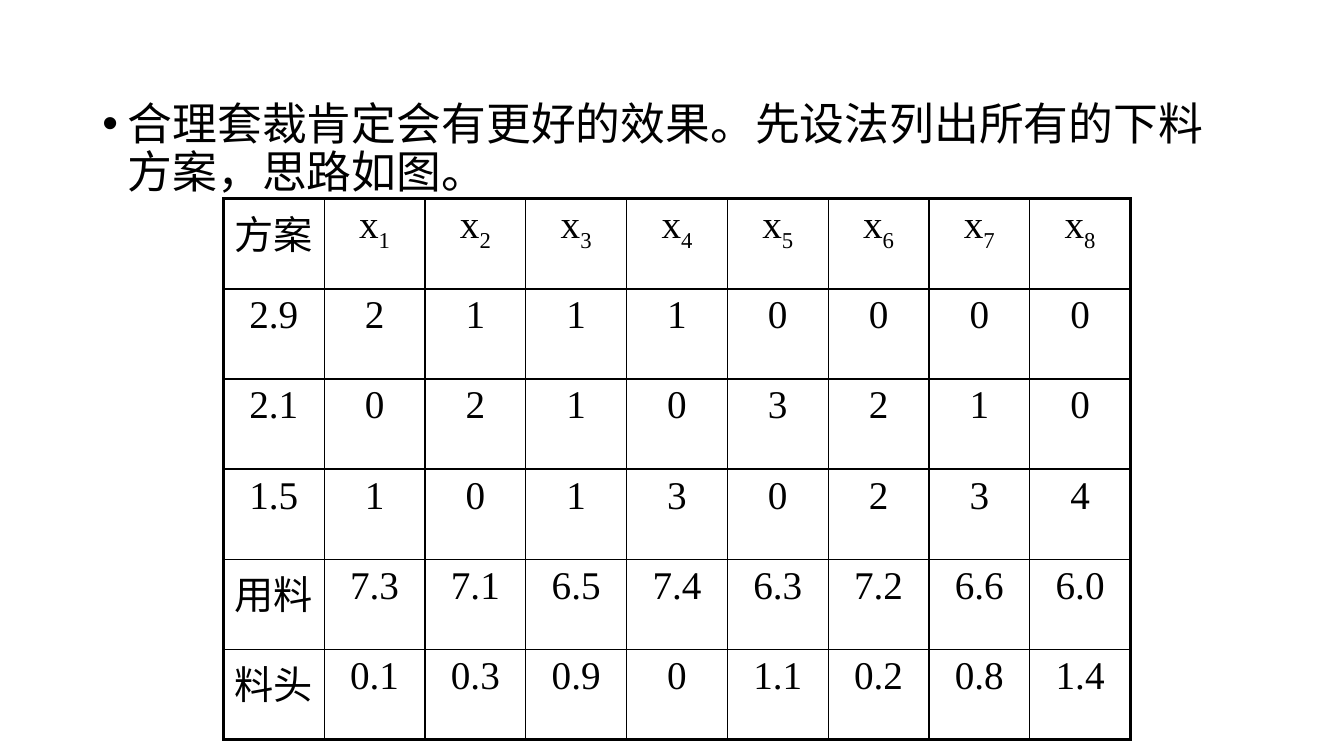
from lxml.etree import SubElement
from pptx import Presentation
from pptx.dml.color import RGBColor
from pptx.enum.lang import MSO_LANGUAGE_ID as Lang
from pptx.enum.text import PP_ALIGN as Align
from pptx.oxml.ns import qn
from pptx.util import Cm, Pt

COLORS = {"ink": "000000"}
SANS = "Noto Sans CJK JP"
SERIF = "Times New Roman"


def add_run(paragraph, text, size, latin):
    run = paragraph.add_run()
    run.text = text
    run.font.size = Pt(size)
    run.font.name = latin
    run.font.color.rgb = RGBColor.from_string(COLORS["ink"])
    run.font.language_id = Lang.SIMPLIFIED_CHINESE
    SubElement(run._r.get_or_add_rPr(), qn("a:ea"), typeface=SANS)
    return run


def add_border(cell, side, points):
    line = SubElement(cell._tc.get_or_add_tcPr(), qn("a:ln" + side), w=str(Pt(points)))
    fill = SubElement(line, qn("a:solidFill"))
    SubElement(fill, qn("a:srgbClr"), val=COLORS["ink"])


prs = Presentation()
prs.slide_width = Cm(33.87)
prs.slide_height = Cm(19.05)
slide = prs.slides.add_slide(prs.slide_layouts[6])

intro = slide.shapes.add_textbox(Cm(2.33), Cm(2.44), Cm(29.21), Cm(14.73)).text_frame
intro.word_wrap = True
idea = intro.paragraphs[0]
idea.line_spacing = 0.9
idea.space_before = Pt(10)
add_run(idea, "合理套裁肯定会有更好的效果。先设法列出所有的下料方案，思路如图。", 32, SANS)
bullet = idea._p.get_or_add_pPr()
bullet.set("marL", str(Cm(0.64)))
bullet.set("indent", str(-Cm(0.64)))
SubElement(bullet, qn("a:buFont"), typeface="Arial")
SubElement(bullet, qn("a:buChar"), char="•")

plans = [
    ["方案"] + [f"x{number}" for number in range(1, 9)],
    ["2.9", "2", "1", "1", "1", "0", "0", "0", "0"],
    ["2.1", "0", "2", "1", "0", "3", "2", "1", "0"],
    ["1.5", "1", "0", "1", "3", "0", "2", "3", "4"],
    ["用料", "7.3", "7.1", "6.5", "7.4", "6.3", "7.2", "6.6", "6.0"],
    ["料头", "0.1", "0.3", "0.9", "0", "1.1", "0.2", "0.8", "1.4"],
]
last_row, last_col = len(plans) - 1, len(plans[0]) - 1
cutting = slide.shapes.add_table(
    len(plans), len(plans[0]), Cm(5.63), Cm(5.01), Cm(22.86), Cm(13.62)
).table

for r, plan in enumerate(plans):
    for c, value in enumerate(plan):
        cell = cutting.cell(r, c)
        outer = {"L": c == 0, "R": c == last_col, "T": r == 0, "B": r == last_row}
        for side, is_outer in outer.items():
            add_border(cell, side, 2.25 if is_outer else 1)
        cell.fill.background()
        entry = cell.text_frame.paragraphs[0]
        entry.alignment = Align.CENTER
        entry.space_before = Pt(5.6)
        if value.startswith("x"):
            add_run(entry, "x", 28, SERIF)
            index = add_run(entry, value[1:], 28, SERIF)
            index._r.get_or_add_rPr().set("baseline", "-25000")
        else:
            add_run(entry, value, 28, SERIF)

prs.save("out.pptx")
